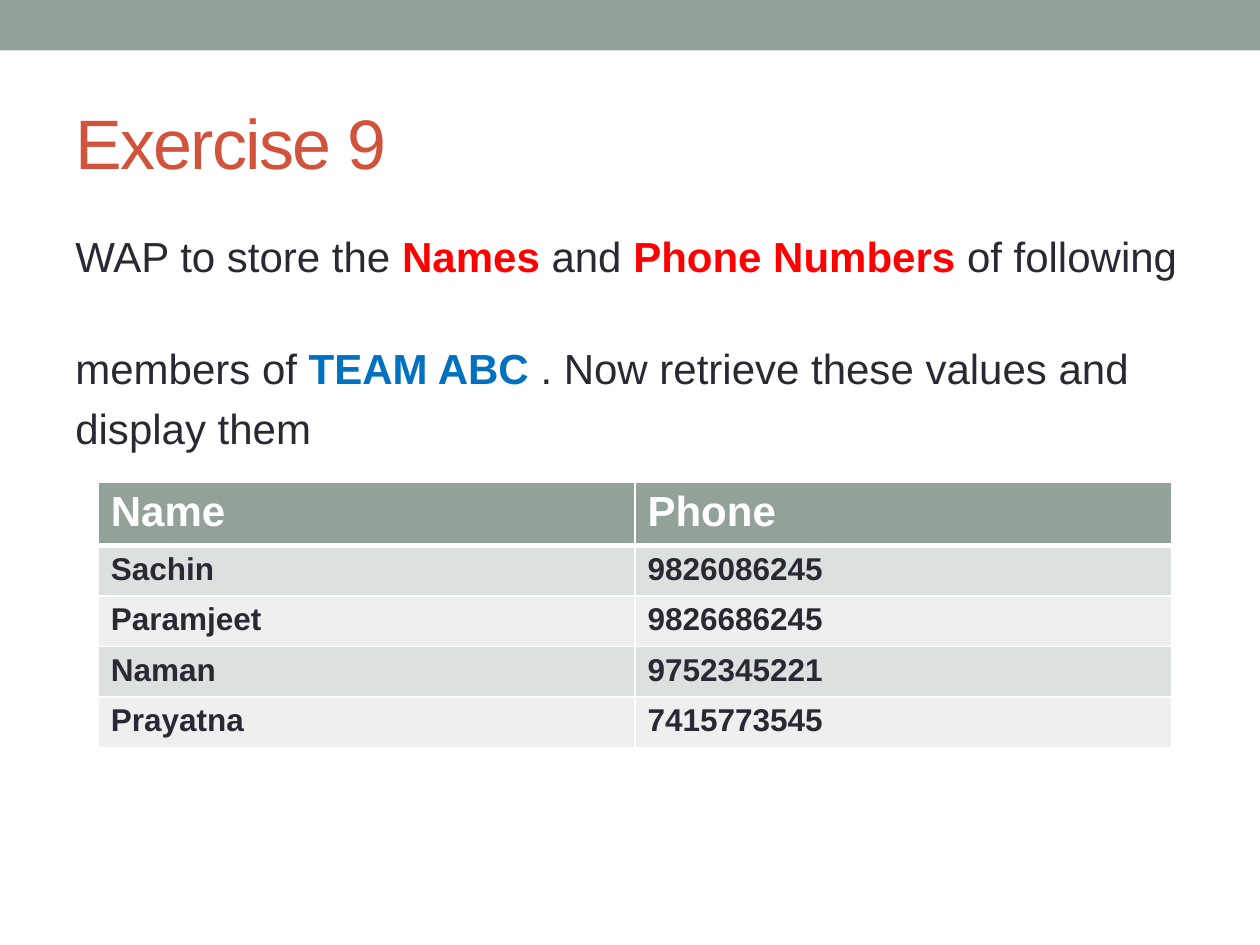
from pptx import Presentation
from pptx.dml.color import RGBColor
from pptx.enum.shapes import MSO_SHAPE
from pptx.enum.text import MSO_ANCHOR
from pptx.oxml import parse_xml
from pptx.oxml.ns import nsdecls
from pptx.util import Inches, Pt

RECT = MSO_SHAPE.RECTANGLE
TOP, MIDDLE = MSO_ANCHOR.TOP, MSO_ANCHOR.MIDDLE
SAGE, INK, WHITE = "93A299", "292934", "FFFFFF"
RUST, RED, BLUE = "D2533C", "FF0000", "0070C0"
BANDS = ("DCE0DE", "EEF0EF")


def color(code):
    return RGBColor.from_string(code)


def write(para, text, size=24, ink=INK, bold=False, font="Arial", track=0):
    run = para.add_run()
    run.text = text
    run.font.name = font
    run.font.size = Pt(size)
    run.font.bold = bold
    run.font.color.rgb = color(ink)
    if track:
        run.font._element.set("spc", str(int(track * 100)))


def edge(cell, side, width):
    cell._tc.get_or_add_tcPr().append(parse_xml(
        f'<a:{side} {nsdecls("a")} w="{Pt(width)}"><a:solidFill>'
        f'<a:srgbClr val="{WHITE}"/></a:solidFill></a:{side}>'))


class Deck:
    def __init__(self, wide, high):
        self.show = Presentation()
        self.show.slide_width = Inches(wide)
        self.show.slide_height = Inches(high)
        self.slide = self.show.slides.add_slide(self.show.slide_layouts[6])

    def bar(self, box, fill):
        shape = self.slide.shapes.add_shape(RECT, *map(Inches, box))
        shape.shadow.inherit = False
        shape.fill.solid()
        shape.fill.fore_color.rgb = color(fill)
        shape.line.fill.background()

    def text(self, box, lines, anchor=TOP):
        """Each line is (space before in points, [(text, format), ...])."""
        frame = self.slide.shapes.add_textbox(*map(Inches, box)).text_frame
        frame.word_wrap = True
        frame.vertical_anchor = anchor
        for i, (gap, parts) in enumerate(lines):
            para = frame.add_paragraph() if i else frame.paragraphs[0]
            para.space_before = Pt(gap)
            for words, style in parts:
                write(para, words, **style)

    def table(self, left, top, width, heights, rows):
        cols = len(rows[0])
        grid = self.slide.shapes.add_table(
            len(rows), cols, Inches(left), Inches(top),
            Inches(width), Inches(sum(heights))).table
        for col in grid.columns:
            col.width = Inches(width / cols)
        for r, row in enumerate(rows):
            grid.rows[r].height = Inches(heights[r])
            head = r == 0
            for c, words in enumerate(row):
                cell = grid.cell(r, c)
                write(cell.text_frame.paragraphs[0], words, bold=True,
                      size=24 if head else 18, ink=WHITE if head else INK)
                # Borders come before the fill in the cell properties
                for side in ("lnL", "lnR", "lnT", "lnB"):
                    thick = (r, side) in ((0, "lnB"), (1, "lnT"))
                    edge(cell, side, 3 if thick else 1)
                cell.fill.solid()
                cell.fill.fore_color.rgb = color(
                    SAGE if head else BANDS[(r - 1) % 2])


deck = Deck(10, 7.5)

# Top band and title
deck.bar((0, 0, 10, 0.4), SAGE)
deck.text((0.5, 0.58, 9, 1.08),
          [(0, [("Exercise 9", dict(size=40, ink=RUST, track=-1))])], MIDDLE)

# Task
red = dict(ink=RED, bold=True)
blue = dict(ink=BLUE, bold=True)
deck.text((0.5, 1.78, 9, 2), [
    (0, [("WAP to store the ", {}), ("Names", red), (" and ", {}),
         ("Phone Numbers ", red), ("of following", {})]),
    (35, [("members of ", {}), ("TEAM ABC ", blue),
          (". Now retrieve these values and", {})]),
    (5.5, [("display them", {})]),
])

# Phone list
people = [
    ("Name", "Phone"),
    ("Sachin", "9826086245"),
    ("Paramjeet", "9826686245"),
    ("Naman", "9752345221"),
    ("Prayatna", "7415773545"),
]
deck.table(0.78, 3.83, 8.52, [0.48] + [0.4] * 4, people)

deck.show.save("out.pptx")
